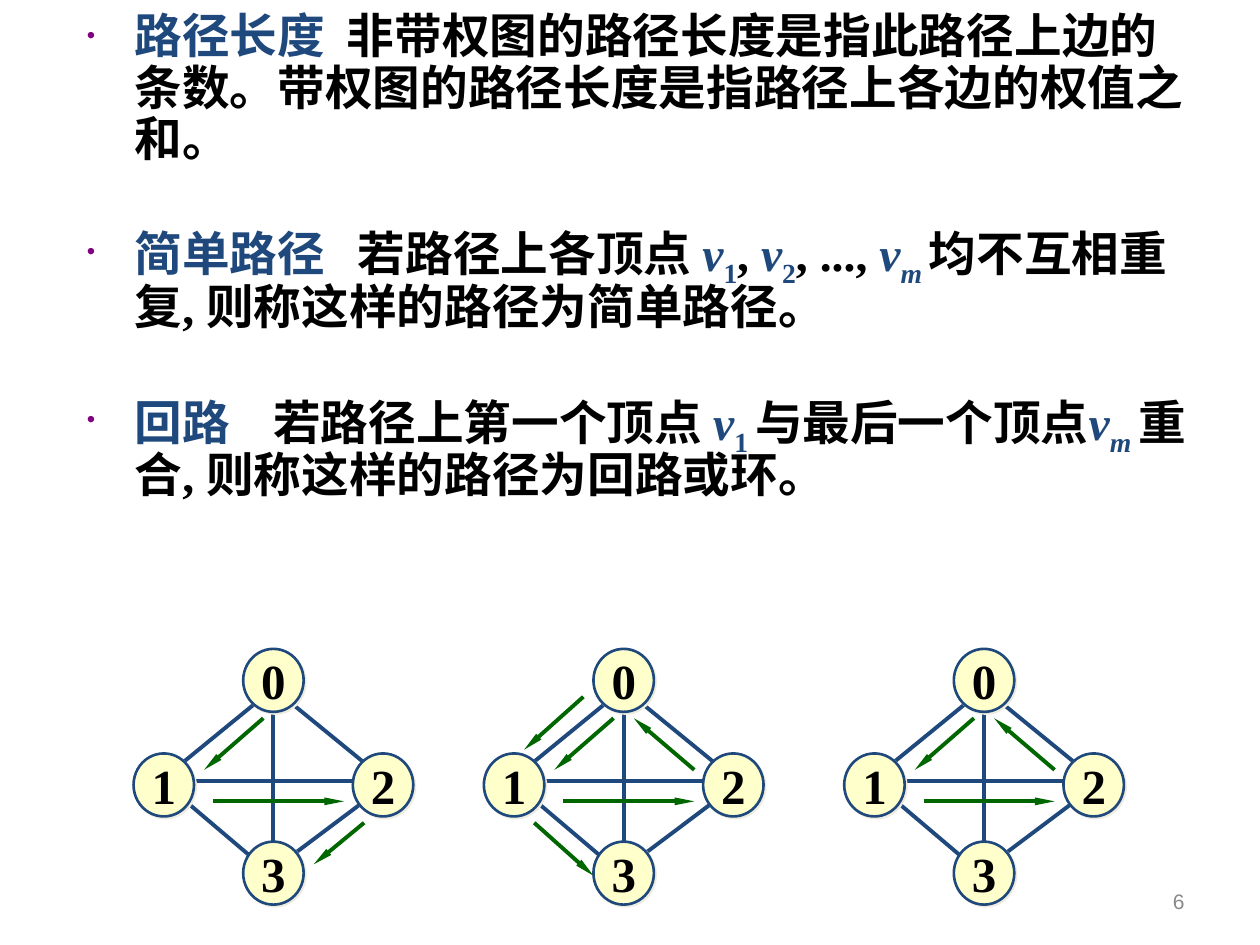
from lxml import etree
from pptx import Presentation
from pptx.dml.color import RGBColor
from pptx.enum.shapes import MSO_CONNECTOR, MSO_SHAPE
from pptx.enum.text import MSO_ANCHOR, PP_ALIGN
from pptx.oxml.ns import qn
from pptx.util import Inches, Pt

STRAIGHT = MSO_CONNECTOR.STRAIGHT
OVAL = MSO_SHAPE.OVAL
CENTER, RIGHT = PP_ALIGN.CENTER, PP_ALIGN.RIGHT
TOP, MIDDLE = MSO_ANCHOR.TOP, MSO_ANCHOR.MIDDLE

NAVY = RGBColor(0x1F, 0x49, 0x7D)
BLACK = RGBColor(0, 0, 0)
CREAM = RGBColor(0xFF, 0xFF, 0xCC)
GREEN = RGBColor(0, 0x66, 0)
GRAY = RGBColor(0x89, 0x89, 0x89)
PURPLE = RGBColor(0x80, 0, 0x80)
SHADE = RGBColor(0xEE, 0xEC, 0xE1)

SERIF, SANS = "Times New Roman", "Arial"
BODY_SIZE = 27.2
SPACE_WIDTH = 6.2

STYLES = {
    "term": {"color": NAVY},
    "plain": {"color": BLACK},
    "var": {"color": NAVY, "italic": True},
    "sub": {"color": NAVY, "baseline": -25000},
    "varsub": {"color": NAVY, "italic": True, "baseline": -25000},
}

DEFINITIONS = [
    ("路径长度", 2, [
        ("plain", "非带权图的路径长度是指此路径上边的条数。"
                  "带权图的路径长度是指路径上各边的权值之和。")]),
    ("简单路径", 3, [
        ("plain", "若路径上各顶点 "), ("var", "v"), ("sub", "1"),
        ("plain", ", "), ("var", "v"), ("sub", "2"),
        ("plain", ", ..., "), ("var", "v"), ("varsub", "m "),
        ("plain", "均不互相重复, 则称这样的路径为简单路径。")]),
    ("回路", 4, [
        ("plain", "若路径上第一个顶点 "), ("var", "v"), ("sub", "1 "),
        ("plain", "与最后一个顶点"), ("var", "v"), ("varsub", "m "),
        ("plain", "重合, 则称这样的路径为回路或环。")]),
]

NODE_W, NODE_H = 0.48, 0.5
LABEL_W, LABEL_H = 0.39, 0.57
NODES = {"1": (-0.87, 6.23), "2": (0.87, 6.23), "0": (0, 5.4), "3": (0, 6.93)}
EDGES = [
    (-0.79, 6.28, 0, 6.95),
    (0.08, 5.53, 0.79, 6.11),
    (0.72, 6.36, 0.16, 6.78),
    (-0.08, 5.53, -0.79, 6.11),
    (-0.71, 6.2, 0.72, 6.2),
    (0, 5.56, 0, 7.03),
]
STEPS = {
    "0-1": (-0.08, 5.7, -0.55, 6.11),
    "1-2": (-0.48, 6.36, 0.56, 6.36),
    "2-3": (0.72, 6.53, 0.32, 6.86),
    "2-0": (0.56, 6.11, 0.08, 5.7),
    "0-1 again": (-0.32, 5.53, -0.79, 5.95),
    "1-3": (-0.71, 6.53, -0.24, 6.95),
}
GRAPHS = [
    (2.17, ["0-1", "1-2", "2-3"]),
    (4.95, ["0-1", "1-2", "0-1 again", "2-0", "1-3"]),
    (7.81, ["0-1", "1-2", "2-0"]),
]


def add_child(parent, tag, **attributes):
    return etree.SubElement(parent, qn(tag), attributes)


def format_font(font, **values):
    font.color.rgb = values.pop("color")
    for name, value in values.items():
        setattr(font, name, value)


def add_run(paragraph, text, style, spacing=0):
    values = dict(STYLES[style])
    baseline = values.pop("baseline", 0)
    run = paragraph.add_run()
    run.text = text
    format_font(run.font, name=SERIF, size=Pt(BODY_SIZE), bold=True, **values)
    properties = run._r.get_or_add_rPr()
    if baseline:
        properties.set("baseline", str(baseline))
    if spacing:
        properties.set("spc", str(round(spacing * 100)))


def add_bullet(paragraph):
    properties = paragraph._p.get_or_add_pPr()
    properties.set("marL", str(Inches(0.38)))
    properties.set("indent", str(-Inches(0.38)))
    add_child(add_child(properties, "a:buClr"), "a:srgbClr", val=str(PURPLE))
    add_child(properties, "a:buSzPct", val="50000")
    add_child(properties, "a:buFont", typeface=SANS)
    add_child(properties, "a:buChar", char="•")


def add_definitions(slide):
    box = slide.shapes.add_textbox(
        Inches(0.59), Inches(0.05), Inches(8.92), Inches(4.45))
    frame = box.text_frame
    frame.word_wrap = True
    for index, (term, gap, parts) in enumerate(DEFINITIONS):
        paragraph = frame.add_paragraph() if index else frame.paragraphs[0]
        add_bullet(paragraph)
        paragraph.line_spacing = 0.9
        paragraph.space_before = Pt(33.3 if index else 0)
        add_run(paragraph, term, "term")
        add_run(paragraph, " ", "plain", (gap - 1) * SPACE_WIDTH)
        for style, text in parts:
            add_run(paragraph, text, style)


def add_label(slide, text, box, align, anchor, wrap, **font):
    label = slide.shapes.add_textbox(*map(Inches, box))
    frame = label.text_frame
    frame.word_wrap = wrap
    frame.vertical_anchor = anchor
    paragraph = frame.paragraphs[0]
    paragraph.text = text
    paragraph.alignment = align
    format_font(paragraph.runs[0].font, **font)


def add_line(slide, center, points, color, arrow=False):
    x1, y1, x2, y2 = points
    line = slide.shapes.add_connector(
        STRAIGHT, Inches(center + x1), Inches(y1), Inches(center + x2), Inches(y2))
    line.line.color.rgb = color
    line.line.width = Pt(2.25)
    if arrow:
        add_child(line.line._get_or_add_ln(), "a:tailEnd",
                  type="triangle", w="sm", len="lg")
    add_child(line._element.spPr, "a:effectLst")


def add_node(slide, x, y):
    node = slide.shapes.add_shape(
        OVAL, Inches(x - NODE_W / 2), Inches(y - NODE_H / 2),
        Inches(NODE_W), Inches(NODE_H))
    node.fill.solid()
    node.fill.fore_color.rgb = CREAM
    node.line.color.rgb = NAVY
    node.line.width = Pt(1.5)
    node.shadow.inherit = False
    effects = node._element.spPr.find(qn("a:effectLst"))
    shadow = add_child(effects, "a:outerShdw", dist=str(Pt(1.4)), dir="2700000")
    add_child(shadow, "a:srgbClr", val=str(SHADE))


def add_graph(slide, center):
    for edge in EDGES:
        add_line(slide, center, edge, NAVY)
    for x, y in NODES.values():
        add_node(slide, center + x, y)
    for number, (x, y) in sorted(NODES.items()):
        box = (center + x - LABEL_W / 2, y - LABEL_H / 2, LABEL_W, LABEL_H)
        add_label(slide, number, box, CENTER, TOP, False,
                  name=SERIF, size=Pt(28), bold=True, color=BLACK)


def main():
    deck = Presentation()
    deck.slide_width, deck.slide_height = Inches(10), Inches(7.5)
    slide = deck.slides.add_slide(deck.slide_layouts[6])
    add_definitions(slide)
    add_label(slide, "6", (7.17, 6.95, 2.33, 0.4), RIGHT, MIDDLE, True,
              name=SANS, size=Pt(12), color=GRAY)
    for center, _ in GRAPHS:
        add_graph(slide, center)
    for center, route in GRAPHS:
        for step in route:
            add_line(slide, center, STEPS[step], GREEN, arrow=True)
    deck.save("out.pptx")


if __name__ == "__main__":
    main()
